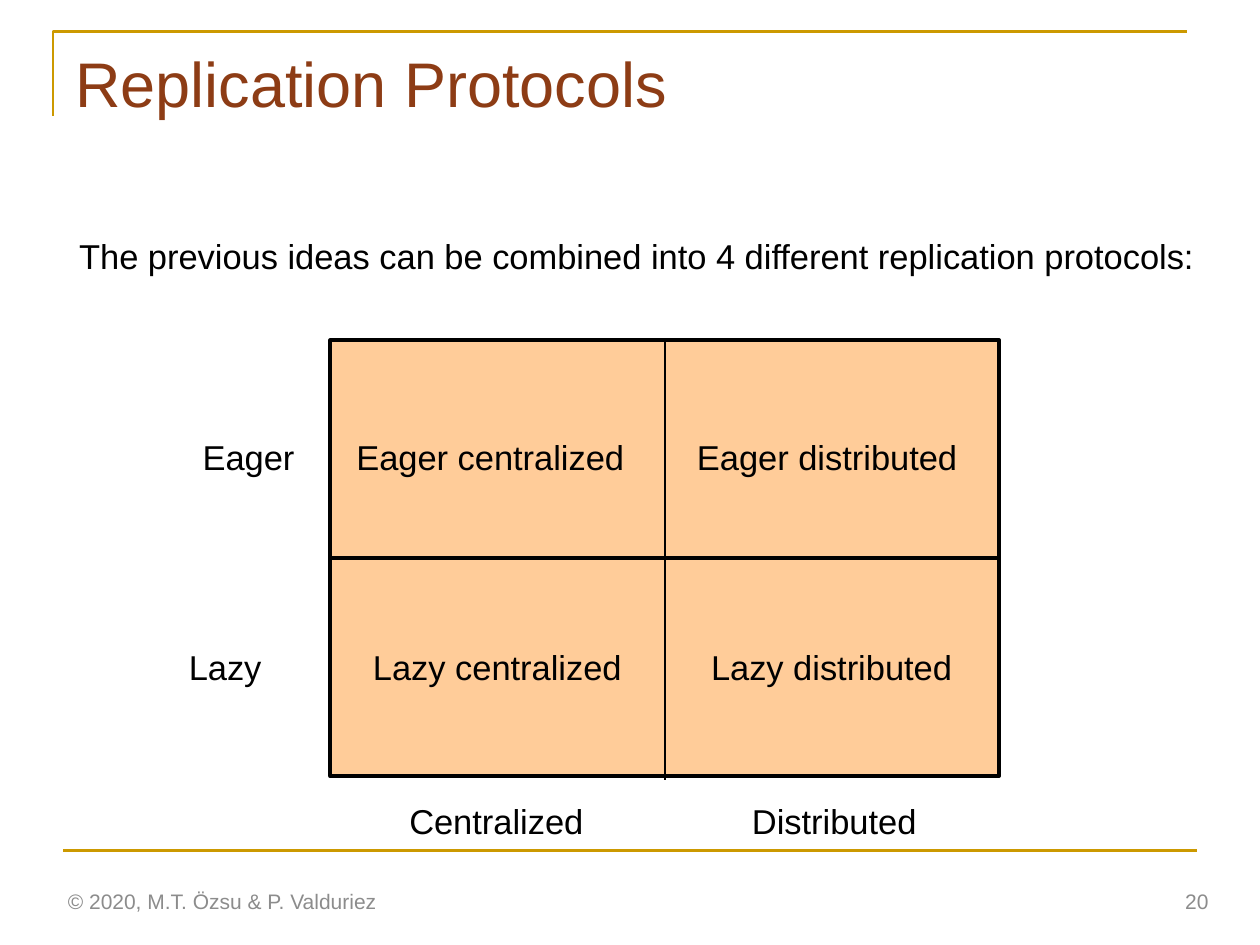
import dataclasses

import pptx
import pptx.dml.color
import pptx.enum.shapes
import pptx.enum.text
import pptx.oxml
import pptx.oxml.ns
import pptx.util

Inches = pptx.util.Inches
Align = pptx.enum.text.PP_ALIGN
Anchor = pptx.enum.text.MSO_ANCHOR

COLORS = {
    "gold": "CC9900",
    "peach": "FFCC99",
    "black": "000000",
    "brown": "8D3C15",
    "gray": "8C8C8C",
}
FONT = "Arial"
LABEL_HEIGHT = 0.43
EAGER_TOP, LAZY_TOP, AXIS_TOP = 3.41, 5.08, 6.3
MATRIX_LEFT, MATRIX_TOP, MATRIX_WIDTH, MATRIX_HEIGHT = 2.62, 2.7, 5.31, 3.46


@dataclasses.dataclass(frozen=True)
class Label:
    text: str
    left: float
    top: float
    width: float
    height: float = LABEL_HEIGHT
    size: float = 19.7
    color: str = "black"
    align: Align = Align.LEFT
    anchor: Anchor = Anchor.TOP
    wrap: bool = False


LABELS = [
    Label("Replication Protocols", 0.5, 0.3, 9, 1.25, 36, "brown", wrap=True),
    Label("The previous ideas can be combined into 4 different replication protocols:", 0.53, 1.82, 9.17),
    Label("Eager", 1.51, EAGER_TOP, 0.94),
    Label("Lazy", 1.4, LAZY_TOP, 1, wrap=True),
    Label("Centralized", 3.15, AXIS_TOP, 1.63),
    Label("Distributed", 5.87, AXIS_TOP, 1.53),
    Label("Eager centralized ", 2.71, EAGER_TOP, 2.44, align=Align.CENTER),
    Label("Eager distributed", 5.4, EAGER_TOP, 2.33, align=Align.CENTER),
    Label("Lazy centralized ", 2.84, LAZY_TOP, 2.29, align=Align.CENTER),
    Label("Lazy distributed", 5.49, LAZY_TOP, 2.22, align=Align.CENTER),
    Label("© 2020, M.T. Özsu & P. Valduriez", 0.44, 6.95, 3.38, 0.4, 12, "gray",
          anchor=Anchor.MIDDLE, wrap=True),
    Label("20", 7.44, 6.95, 2.25, 0.4, 12, "gray", Align.RIGHT, Anchor.MIDDLE, True),
]


def rgb(name: str) -> pptx.dml.color.RGBColor:
    return pptx.dml.color.RGBColor.from_string(COLORS[name])


def style_line(line, color: str, width: float) -> None:
    line.color.rgb = rgb(color)
    line.width = pptx.util.Pt(width)


def add_line(slide, start: tuple[float, float], end: tuple[float, float], color: str, width: float):
    connector = slide.shapes.add_connector(
        pptx.enum.shapes.MSO_CONNECTOR.STRAIGHT, *map(Inches, start + end)
    )
    style_line(connector.line, color, width)
    properties = connector._element.spPr
    properties.append(pptx.oxml.parse_xml(f"<a:effectLst {pptx.oxml.ns.nsdecls('a')}/>"))
    return connector


def add_title_frame(slide) -> None:
    builder = slide.shapes.build_freeform(Inches(0.42), Inches(0.92))
    corners = [(0.42, 0.25), (9.42, 0.25)]
    builder.add_line_segments([(Inches(x), Inches(y)) for x, y in corners], close=False)
    frame = builder.convert_to_shape()
    frame.shadow.inherit = False
    frame.fill.background()
    style_line(frame.line, "gold", 1.5)


def add_matrix(slide) -> None:
    matrix = slide.shapes.add_shape(
        pptx.enum.shapes.MSO_SHAPE.RECTANGLE,
        *map(Inches, (MATRIX_LEFT, MATRIX_TOP, MATRIX_WIDTH, MATRIX_HEIGHT)),
    )
    matrix.shadow.inherit = False
    matrix.fill.solid()
    matrix.fill.fore_color.rgb = rgb("peach")
    style_line(matrix.line, "black", 2)
    add_line(slide, (5.28, 2.69), (5.28, 6.19), "black", 1)
    middle = MATRIX_TOP + MATRIX_HEIGHT / 2
    divider = add_line(
        slide, (MATRIX_LEFT, middle), (MATRIX_LEFT + MATRIX_WIDTH, middle), "black", 2
    )
    divider.begin_connect(matrix, 1)
    divider.end_connect(matrix, 3)


def add_label(slide, label: Label) -> None:
    box = slide.shapes.add_textbox(*map(Inches, (label.left, label.top, label.width, label.height)))
    frame = box.text_frame
    frame.word_wrap = label.wrap
    frame.vertical_anchor = label.anchor
    paragraph = frame.paragraphs[0]
    paragraph.alignment = label.align
    run = paragraph.add_run()
    run.text = label.text
    run.font.name = FONT
    run.font.size = pptx.util.Pt(label.size)
    run.font.color.rgb = rgb(label.color)


def main() -> None:
    presentation = pptx.Presentation()
    presentation.slide_width = Inches(10)
    presentation.slide_height = Inches(7.5)
    slide = presentation.slides.add_slide(presentation.slide_layouts[6])
    add_title_frame(slide)
    add_line(slide, (0.5, 6.75), (9.5, 6.75), "gold", 1.5)
    add_matrix(slide)
    for label in LABELS:
        add_label(slide, label)
    presentation.save("out.pptx")


if __name__ == "__main__":
    main()
